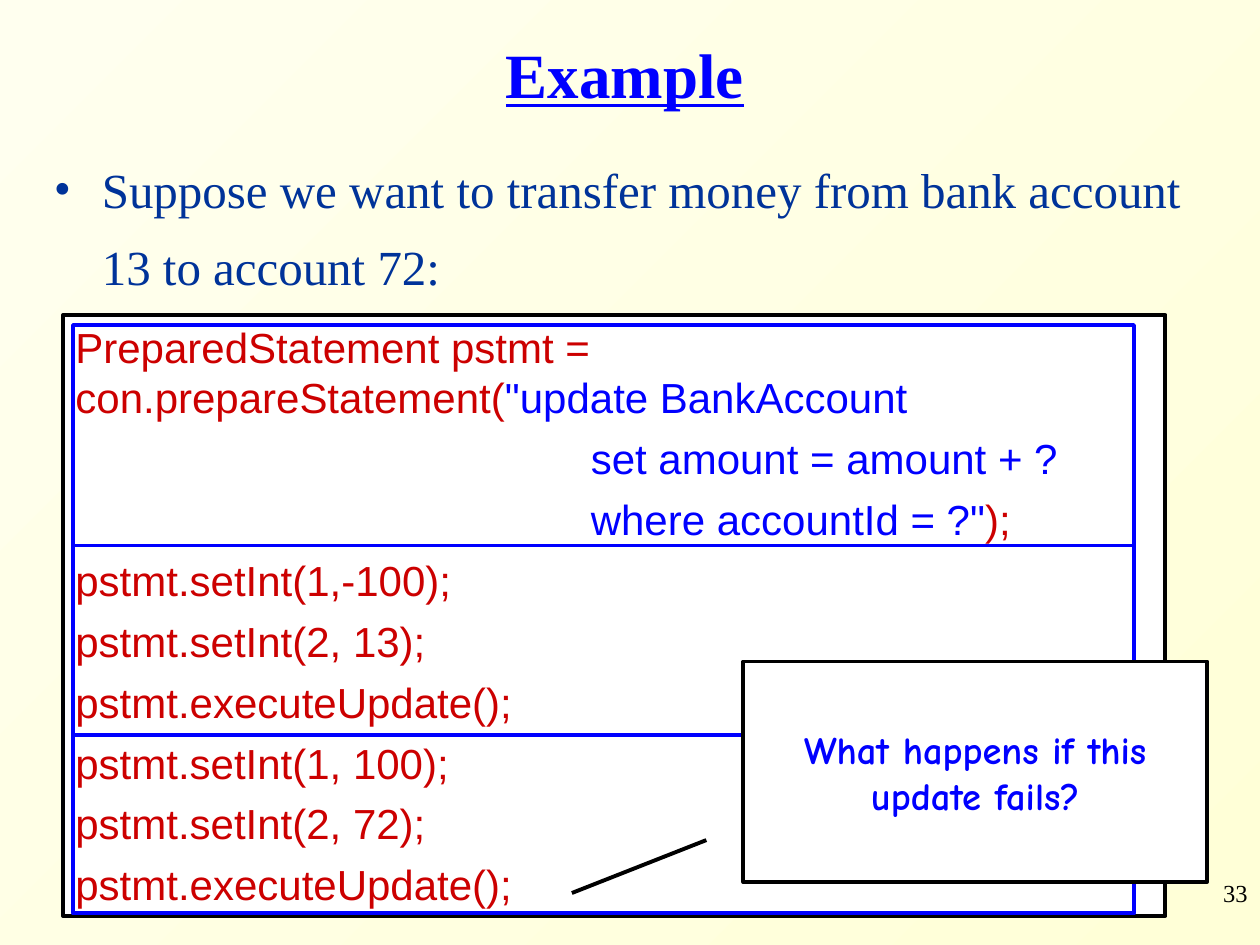
from lxml.etree import SubElement
from pptx import Presentation
from pptx.dml.color import RGBColor
from pptx.enum.shapes import MSO_SHAPE as Shape
from pptx.enum.text import MSO_ANCHOR as Anchor, MSO_AUTO_SIZE as AutoSize, PP_ALIGN as Align
from pptx.oxml.ns import qn
from pptx.util import Inches, Pt

COLORS = {"black": "000000", "white": "FFFFFF", "blue": "0000FF", "navy": "003399",
          "red": "CC0000", "cream": "FFFFEF", "yellow": "FFFFD7"}
SERIF, SANS, COMIC = "Times New Roman", "Arial", "Comic Neue"


def add_span(para, text, size, font, color, bold=False):
    span = para.add_run()
    span.text = text
    span.font.size = Pt(size)
    span.font.name = font
    span.font.bold = bold
    span.font.color.rgb = RGBColor.from_string(COLORS[color])
    return span


def add_box(kind, left, top, width, height, line, fill=None):
    box = page.shapes.add_shape(kind, Inches(left), Inches(top), Inches(width), Inches(height))
    box.shadow.inherit = False
    if fill:
        box.fill.solid()
        box.fill.fore_color.rgb = RGBColor.from_string(COLORS[fill])
    else:
        box.fill.background()
    box.line.color.rgb = RGBColor.from_string(COLORS[line])
    box.line.width = Pt(2.25)
    box.text_frame.word_wrap = True
    return box


deck = Presentation()
deck.slide_width, deck.slide_height = Inches(10), Inches(7.5)
page = deck.slides.add_slide(deck.slide_layouts[5])

backdrop = page.background.fill
backdrop.gradient()
backdrop.gradient_angle = 315
for stop, position, color in zip(backdrop.gradient_stops, (0, 1), ("cream", "yellow")):
    stop.position = position
    stop.color.rgb = RGBColor.from_string(COLORS[color])

number = page.shapes.add_textbox(Inches(7.92), Inches(6.92), Inches(2.08), Inches(0.5))
number.text_frame.word_wrap = True
para = number.text_frame.paragraphs[0]
para.alignment = Align.RIGHT
add_span(para, "33", 14, SERIF, "black")

title = page.shapes.title
title.left, title.top, title.width, title.height = Inches(1), Inches(0.17), Inches(7.92), Inches(0.92)
title.text_frame.auto_size = AutoSize.NONE
title.text_frame.vertical_anchor = Anchor.MIDDLE
para = title.text_frame.paragraphs[0]
para.alignment = Align.CENTER
para.line_spacing = 0.85
add_span(para, "Example", 36, SERIF, "blue", bold=True).font.underline = True

intro = page.shapes.add_textbox(Inches(0.33), Inches(1.08), Inches(9.42), Inches(1.4))
intro.text_frame.word_wrap = True
para = intro.text_frame.paragraphs[0]
para.line_spacing = 1.3
para.space_before = Pt(7)
properties = para._p.get_or_add_pPr()
properties.set("marL", str(Inches(0.38)))
properties.set("indent", str(Inches(-0.38)))
SubElement(properties, qn("a:buFont"), typeface=SERIF)
SubElement(properties, qn("a:buChar"), char="•")
add_span(para, "Suppose we want to transfer money from bank account 13 to account 72:", 28, SERIF, "navy")

code_lines = [
    (0, [("PreparedStatement pstmt =", "red"), None,
         ("con.prepareStatement(", "red"), ("\"update BankAccount", "blue")]),
    (4.09, [("set amount = amount + ?", "blue")]),
    (4.09, [("where accountId = ?\"", "blue"), (");", "red")]),
    (0, [("pstmt.setInt(1,-100);", "red")]),
    (0, [("pstmt.setInt(2, 13);", "red")]),
    (0, [("pstmt.executeUpdate();", "red")]),
    (0, [("pstmt.setInt(1, 100);", "red")]),
    (0, [("pstmt.setInt(2, 72);", "red")]),
    (0, [("pstmt.executeUpdate();", "red")]),
]
code = add_box(Shape.RECTANGLE, 0.5, 2.5, 8.75, 4.77, "black", "white")
code.text_frame.vertical_anchor = Anchor.TOP
for index, (indent, pieces) in enumerate(code_lines):
    para = code.text_frame.add_paragraph() if index else code.text_frame.paragraphs[0]
    para.alignment = Align.LEFT
    para.space_before = Pt(6)
    para._p.get_or_add_pPr().set("marL", str(Inches(indent)))
    for piece in pieces:
        if piece:
            add_span(para, piece[0], 24, SANS, piece[1])
        else:
            para.add_line_break()

top = 2.58
for height in (1.75, 1.5, 1.42):
    add_box(Shape.RECTANGLE, 0.58, top, 8.42, height, "blue")
    top += height

callout = add_box(Shape.LINE_CALLOUT_1, 5.9, 5.25, 3.68, 1.75, "black", "white")
for index, value in enumerate((0.81, -0.08, 1.05, -0.37)):
    callout.adjustments[index] = value
callout.text_frame.vertical_anchor = Anchor.MIDDLE
para = callout.text_frame.paragraphs[0]
para.alignment = Align.CENTER
add_span(para, "What happens if this update fails?", 22, COMIC, "blue", bold=True)

deck.save("out.pptx")
